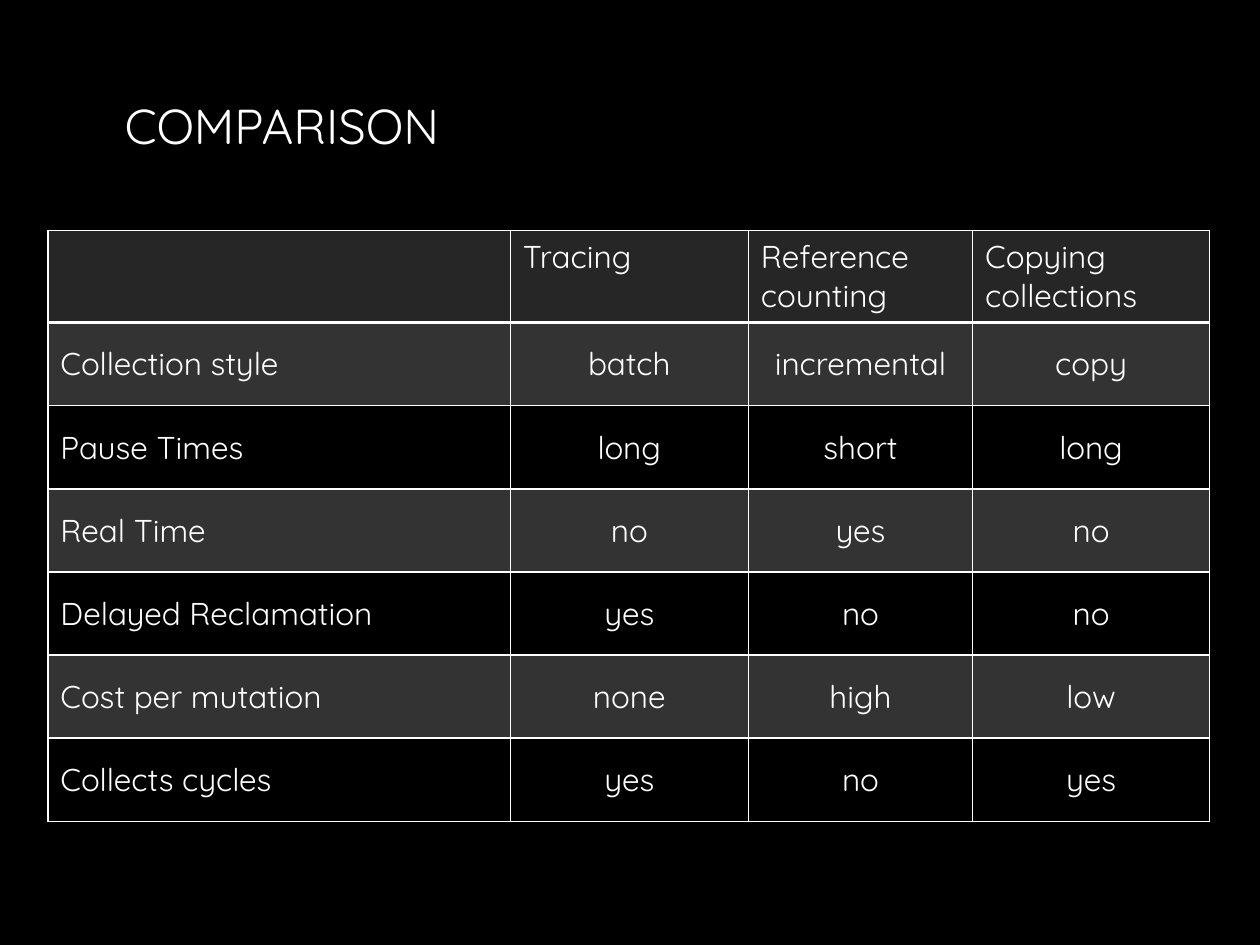
from lxml import etree
from pptx import Presentation
from pptx.dml.color import RGBColor
from pptx.enum.text import MSO_ANCHOR, PP_ALIGN
from pptx.oxml.ns import qn
from pptx.util import Inches, Pt

MIDDLE, TOP = MSO_ANCHOR.MIDDLE, MSO_ANCHOR.TOP
LEFT, CENTER = PP_ALIGN.LEFT, PP_ALIGN.CENTER
BLACK = RGBColor(0x00, 0x00, 0x00)
WHITE = RGBColor(0xFF, 0xFF, 0xFF)
CHARCOAL = RGBColor(0x26, 0x26, 0x26)

COLUMN_WIDTHS = [3.67, 1.89, 1.78, 1.88]
HEADER_HEIGHT, ROW_HEIGHT = 0.73, 0.66
COMPARISON = [
    ["", "Tracing", "Reference counting", "Copying collections"],
    ["Collection style", "batch", "incremental", "copy"],
    ["Pause Times", "long", "short", "long"],
    ["Real Time", "no", "yes", "no"],
    ["Delayed Reclamation", "yes", "no", "no"],
    ["Cost per mutation", "none", "high", "low"],
    ["Collects cycles", "yes", "no", "yes"],
]


class SlideBuilder:
    """Holds the text style and the current slide, and adds elements to it."""

    def __init__(self, page, font="Quicksand", color=WHITE):
        self.page = page
        self.font = font
        self.color = color

    def background(self, color):
        fill = self.page.background.fill
        fill.solid()
        fill.fore_color.rgb = color

    def add_span(self, para, text, size, align=LEFT):
        para.alignment = align
        span = para.add_run()
        span.text = text
        span.font.name = self.font
        span.font.size = Pt(size)
        span.font.color.rgb = self.color

    def title(self, text, left, top, width, height, size=28):
        box = self.page.shapes.add_textbox(
            Inches(left), Inches(top), Inches(width), Inches(height))
        frame = box.text_frame
        frame.word_wrap = True
        frame.vertical_anchor = MIDDLE
        self.add_span(frame.paragraphs[0], text, size)

    def border(self, cell, side, points):
        properties = cell._tc.get_or_add_tcPr()
        line = etree.SubElement(properties, qn(f"a:ln{side}"), w=str(Pt(points)))
        solid = etree.SubElement(line, qn("a:solidFill"))
        etree.SubElement(solid, qn("a:srgbClr"), val=str(self.color))

    def shade(self, cell, row):
        if row > 0 and row % 2 == 0:
            cell.fill.background()
            return
        cell.fill.solid()
        cell.fill.fore_color.rgb = WHITE if row else CHARCOAL
        if row:
            color = cell._tc.tcPr.find(f"{qn('a:solidFill')}/{qn('a:srgbClr')}")
            etree.SubElement(color, qn("a:alpha"), val="20000")

    def cell(self, cell, text, row, column):
        for side in "LRTB":
            under_header = (row, side) in [(0, "B"), (1, "T")]
            self.border(cell, side, 2 if under_header else 1)
        self.shade(cell, row)
        cell.vertical_anchor = MIDDLE if row else TOP
        if text:
            align = CENTER if row and column else LEFT
            self.add_span(cell.text_frame.paragraphs[0], text, 18, align)

    def table(self, rows, left, top, widths, heights):
        table = self.page.shapes.add_table(
            len(rows), len(widths), Inches(left), Inches(top),
            Inches(sum(widths)), Inches(sum(heights))).table
        table.first_row = table.horz_banding = False
        for column, width in zip(table.columns, widths):
            column.width = Inches(width)
        for row, height in zip(table.rows, heights):
            row.height = Inches(height)
        for row, texts in enumerate(rows):
            for column, text in enumerate(texts):
                self.cell(table.cell(row, column), text, row, column)


def main():
    deck = Presentation()
    deck.slide_width, deck.slide_height = Inches(10), Inches(7.5)
    builder = SlideBuilder(deck.slides.add_slide(deck.slide_layouts[6]))
    builder.background(BLACK)
    builder.title("COMPARISON", 0.89, 0.65, 8.21, 0.68)
    heights = [HEADER_HEIGHT] + [ROW_HEIGHT] * (len(COMPARISON) - 1)
    builder.table(COMPARISON, 0.38, 1.83, COLUMN_WIDTHS, heights)
    deck.save("out.pptx")


if __name__ == "__main__":
    main()
